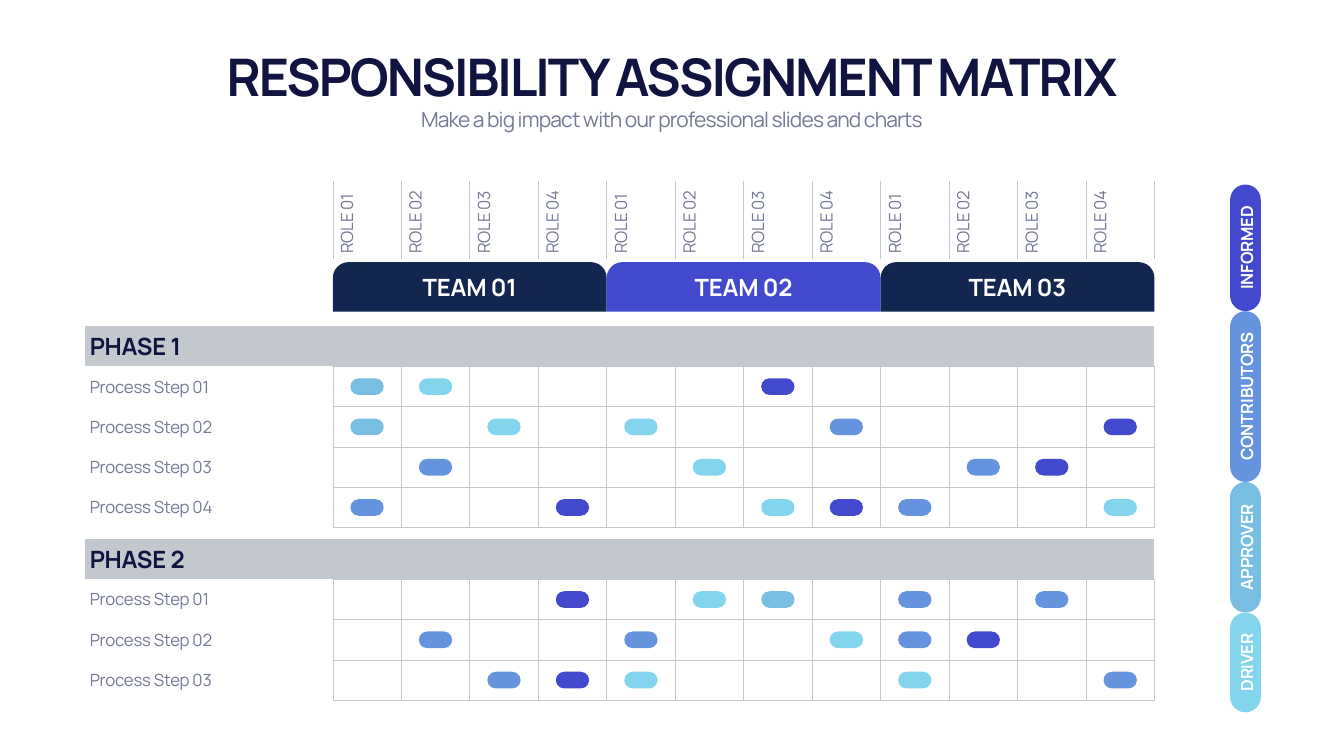
from lxml import etree
from pptx import Presentation
from pptx.dml.color import RGBColor
from pptx.enum.shapes import MSO_SHAPE
from pptx.enum.text import MSO_ANCHOR, MSO_AUTO_SIZE, PP_ALIGN
from pptx.oxml.ns import qn
from pptx.util import Cm, Pt

ROUND_RECT = MSO_SHAPE.ROUNDED_RECTANGLE
TAB_RECT = MSO_SHAPE.ROUND_2_SAME_RECTANGLE
TOP, MIDDLE, BOTTOM = MSO_ANCHOR.TOP, MSO_ANCHOR.MIDDLE, MSO_ANCHOR.BOTTOM
LEFT, CENTER = PP_ALIGN.LEFT, PP_ALIGN.CENTER
GROW = MSO_AUTO_SIZE.SHAPE_TO_FIT_TEXT

FONT = "Manrope"
INK, GREY, RULE, WHITE = "111340", "747994", "C3C8CE", "FFFFFF"
NAVY, INDIGO = "13264F", "4349CC"
DUTIES = {"I": INDIGO, "C": "6593DE", "A": "78BEE3", "D": "83D5ED"}
LEGEND = [("INFORMED", "I", 6.38), ("CONTRIBUTORS", "C", 8.61),
          ("APPROVER", "A", 6.58), ("DRIVER", "D", 5.03)]
TEAMS = [("TEAM 01", NAVY), ("TEAM 02", INDIGO), ("TEAM 03", NAVY)]
ROLES_PER_TEAM = 4
ROLE_COUNT = ROLES_PER_TEAM * len(TEAMS)
PHASES = {
    "PHASE 1": ["AD....I.....", "A.D.D..C...I", ".C...D...CI.", "C..I..DIC..D"],
    "PHASE 2": ["...I.DA.C.C.", ".C..C..DCI..", "..CID...D..C"],
}
LABEL_WIDTH, ROLE_WIDTH = 12.5, 3.45
ROLE_HEIGHT, TEAM_HEIGHT, STEP_HEIGHT = 3.91, 2.67, 2.03
HEADER_GAP, PHASE_GAP = 0.74, 0.58


def color(hex_code):
    return RGBColor.from_string(hex_code)


def write(frame, text, size=24, ink=GREY, bold=False, spacing=-0.3, align=LEFT):
    paragraph = frame.paragraphs[0]
    paragraph.alignment = align
    run = paragraph.add_run()
    run.text = text
    run.font.name = FONT
    run.font.size = Pt(size)
    run.font.bold = bold
    run.font.color.rgb = color(ink)
    run.font._element.set("spc", str(round(spacing * 100)))


def add_label(slide, box, text, anchor=MIDDLE, rotation=0, **style):
    label = slide.shapes.add_textbox(*map(Cm, box))
    label.rotation = rotation
    frame = label.text_frame
    frame.word_wrap = True
    frame.auto_size = GROW
    frame.vertical_anchor = anchor
    write(frame, text, align=CENTER, **style)


def add_block(slide, kind, box, fill, corners):
    block = slide.shapes.add_shape(kind, *map(Cm, box))
    block.shadow.inherit = False
    block.fill.solid()
    block.fill.fore_color.rgb = color(fill)
    block.line.fill.background()
    for index, corner in enumerate(corners):
        block.adjustments[index] = corner


def format_cell(cell, borders="", fill=None):
    properties = cell._tc.get_or_add_tcPr()
    for side in "LRTB":
        line = etree.SubElement(properties, qn(f"a:ln{side}"), w=str(Pt(1)))
        if side in borders:
            solid = etree.SubElement(line, qn("a:solidFill"))
            etree.SubElement(solid, qn("a:srgbClr"), val=RULE)
        else:
            etree.SubElement(line, qn("a:noFill"))
    if fill:
        cell.fill.solid()
        cell.fill.fore_color.rgb = color(fill)
    else:
        cell.fill.background()
    cell.vertical_anchor = MIDDLE


def format_row(cells, label_borders="", role_borders="", fill=None):
    format_cell(cells[0], label_borders, fill)
    for cell in cells[1:]:
        format_cell(cell, role_borders, fill)


def shrink_empty(cells):
    for cell in cells:
        cell.margin_top = cell.margin_bottom = 0
        paragraph = cell.text_frame.paragraphs[0]
        etree.SubElement(paragraph._p, qn("a:endParaRPr"), sz="800")


def plan_rows():
    rows = [("roles", "", ROLE_HEIGHT), ("gap", "", TEAM_HEIGHT), ("gap", "", HEADER_GAP)]
    for index, (phase, steps) in enumerate(PHASES.items()):
        if index:
            rows.append(("phase gap", "", PHASE_GAP))
        rows.append(("phase", phase, STEP_HEIGHT))
        for number, duties in enumerate(steps, 1):
            rows.append((duties, f"Process Step {number:02}", STEP_HEIGHT))
    return rows


def add_duties(slide, left, middle, duties):
    width, height = 1.68, 0.84
    for column, duty in enumerate(duties):
        if duty in DUTIES:
            center = left + (column + 0.5) * ROLE_WIDTH
            box = center - width / 2, middle - height / 2, width, height
            add_block(slide, ROUND_RECT, box, DUTIES[duty], [0.5])


def add_matrix(slide, left, top):
    rows = plan_rows()
    width = LABEL_WIDTH + ROLE_COUNT * ROLE_WIDTH
    height = sum(row[2] for row in rows)
    frame = slide.shapes.add_table(len(rows), ROLE_COUNT + 1,
                                   *map(Cm, (left, top, width, height)))
    matrix = frame.table
    matrix.first_row = matrix.horz_banding = False
    for index, column in enumerate(matrix.columns):
        column.width = Cm(ROLE_WIDTH if index else LABEL_WIDTH)

    for row, (kind, label, row_height) in zip(matrix.rows, rows):
        row.height = Cm(row_height)
        cells = list(row.cells)
        if kind == "roles":
            format_row(cells, "R", "LR")
            for index, cell in enumerate(cells[1:]):
                cell._tc.tcPr.set("vert", "vert270")
                write(cell.text_frame, f"ROLE {index % ROLES_PER_TEAM + 1:02}")
        elif kind == "phase":
            format_row(cells, "", "B", RULE)
            write(cells[0].text_frame, label, size=34, ink=INK, bold=True)
        elif label:
            format_row(cells, "R", "LRTB")
            write(cells[0].text_frame, label)
            add_duties(slide, left + LABEL_WIDTH, top + row_height / 2, kind)
        else:
            format_row(cells, "", "T" if kind == "phase gap" else "")
            shrink_empty(cells)
        top += row_height


def add_teams(slide, left, top, height):
    width = ROLES_PER_TEAM * ROLE_WIDTH
    for index, (team, fill) in enumerate(TEAMS):
        x = left + index * width
        add_block(slide, TAB_RECT, (x, top, width, height), fill, [0.32, 0])
        add_label(slide, (x + 0.88, top + 0.4, width - 1.76, 1.7), team,
                  size=34, ink=WHITE, bold=True)


def add_legend(slide, left, top, width):
    text_height = 1.27
    for name, duty, length in LEGEND:
        add_block(slide, ROUND_RECT, (left, top, width, length), DUTIES[duty], [0.5])
        text_width = length - 0.65
        box = (left + (width - text_width) / 2 + 0.05, top + (length - text_height) / 2,
               text_width, text_height)
        add_label(slide, box, name, rotation=270, ink=WHITE, bold=True)
        top += length


def add_heading(slide, left, top, width):
    add_label(slide, (left, top, width, 3.43), "RESPONSIBILITY ASSIGNMENT MATRIX",
              anchor=BOTTOM, size=74, ink=INK, bold=True, spacing=-2.9)
    add_label(slide, (left, top + 3.18, width, 1.55),
              "Make a big impact with our professional slides and charts",
              anchor=TOP, size=30, spacing=-1.2)


def main():
    deck = Presentation()
    deck.slide_width, deck.slide_height = Cm(67.72), Cm(38.1)
    slide = deck.slides.add_slide(deck.slide_layouts[6])
    add_matrix(slide, 4.27, 9.12)
    add_teams(slide, 4.27 + LABEL_WIDTH, 13.21, 2.49)
    add_legend(slide, 61.98, 9.3, 1.55)
    add_heading(slide, 4.22, 2.08, 59.26)
    deck.save("out.pptx")


if __name__ == "__main__":
    main()
